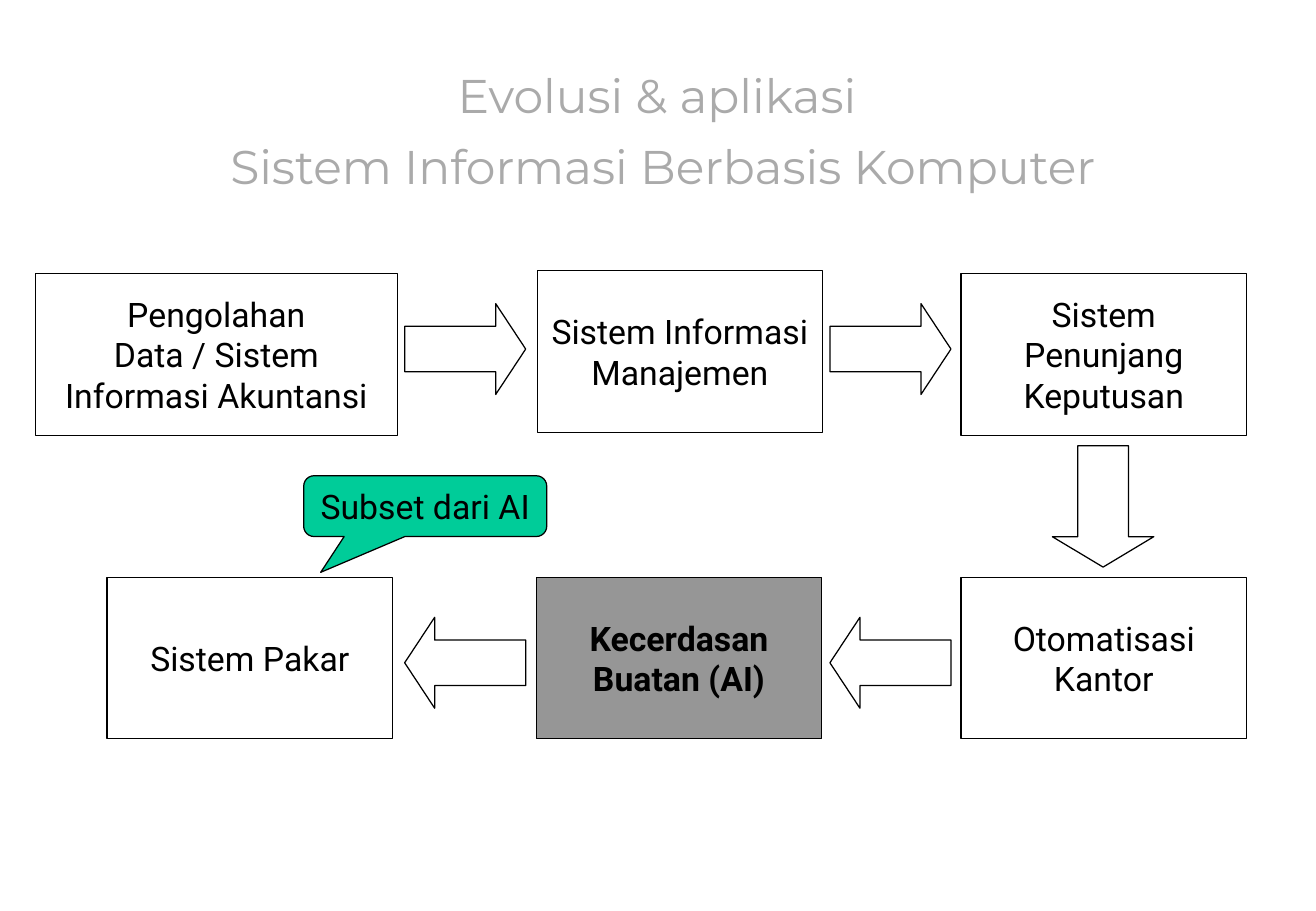
from pptx import Presentation
from pptx.dml.color import RGBColor
from pptx.enum.shapes import MSO_SHAPE
from pptx.enum.text import MSO_ANCHOR, PP_ALIGN
from pptx.util import Cm, Pt

COLORS = {
    "title": "AAAAAA",
    "ink": "000000",
    "highlight": "969696",
    "callout": "00CC99",
}

BOX_WIDTH, BOX_HEIGHT = 5.97, 3.38
LEFT_COLUMN, MIDDLE_COLUMN, RIGHT_COLUMN = 2.24, 11.21, 20.09
TOP_ROW, BOTTOM_ROW = 5.72, 12.07
ARROW_LENGTH, ARROW_WIDTH = 2.53, 1.9
ARROW_COLUMNS = (8.46, 17.35)


def color(name):
    return RGBColor.from_string(COLORS[name])


def write_text(shape, text, font_name, size, color_name, bold=False):
    text_frame = shape.text_frame
    text_frame.text = text
    for paragraph in text_frame.paragraphs:
        paragraph.alignment = PP_ALIGN.CENTER
        for run in paragraph.runs:
            run.font.name = font_name
            run.font.size = Pt(size)
            run.font.bold = bold
            run.font.color.rgb = color(color_name)


def add_title_line(slide, text, left, top, width):
    box = slide.shapes.add_textbox(Cm(left), Cm(top), Cm(width), Cm(1.37))
    box.text_frame.word_wrap = True
    write_text(box, text, "Montserrat", 28, "title")


def add_outlined(slide, kind, left, top, width, height, fill=None):
    shape = slide.shapes.add_shape(kind, Cm(left), Cm(top), Cm(width), Cm(height))
    shape.shadow.inherit = False
    if fill:
        shape.fill.solid()
        shape.fill.fore_color.rgb = color(fill)
    else:
        shape.fill.background()
    shape.line.color.rgb = color("ink")
    shape.line.width = Pt(0.75)
    return shape


def add_process(slide, text, left, top, width=BOX_WIDTH, fill=None, bold=False):
    shape = add_outlined(slide, MSO_SHAPE.FLOWCHART_PROCESS,
                         left, top, width, BOX_HEIGHT, fill)
    text_frame = shape.text_frame
    text_frame.margin_left = text_frame.margin_right = Cm(0.25)
    text_frame.margin_top = text_frame.margin_bottom = Cm(0.13)
    text_frame.vertical_anchor = MSO_ANCHOR.MIDDLE
    write_text(shape, text, "Roboto", 20, "ink", bold)


def add_arrow(slide, kind, left, top, width, height, head):
    arrow = add_outlined(slide, kind, left, top, width, height)
    arrow.adjustments[0] = 0.5
    arrow.adjustments[1] = head


def add_callout(slide, text):
    callout = add_outlined(slide, MSO_SHAPE.ROUNDED_RECTANGULAR_CALLOUT,
                           6.35, 9.95, 5.08, 1.27, "callout")
    for index, value in enumerate((-0.43, 1.09, 0.17)):
        callout.adjustments[index] = value
    callout.text_frame.word_wrap = False
    callout.text_frame.vertical_anchor = MSO_ANCHOR.MIDDLE
    write_text(callout, text, "Roboto", 20, "ink")


def main():
    presentation = Presentation()
    presentation.slide_width = Cm(27.51)
    presentation.slide_height = Cm(19.05)
    slide = presentation.slides.add_slide(presentation.slide_layouts[6])

    # Title
    add_title_line(slide, "Evolusi & aplikasi", 6.75, 1.27, 13.97)
    add_title_line(slide, "Sistem Informasi Berbasis Komputer", 2.74, 2.74, 22.23)

    # Top row, read from left to right
    add_process(slide, "Pengolahan\nData / Sistem Informasi Akuntansi",
                0.74, TOP_ROW, width=7.57)
    add_process(slide, "Sistem Informasi Manajemen", MIDDLE_COLUMN + 0.02, TOP_ROW - 0.06)
    add_process(slide, "Sistem Penunjang Keputusan", RIGHT_COLUMN, TOP_ROW)

    # Bottom row, read from right to left
    add_process(slide, "Otomatisasi Kantor", RIGHT_COLUMN, BOTTOM_ROW)
    add_process(slide, "Kecerdasan Buatan (AI)", MIDDLE_COLUMN, BOTTOM_ROW,
                fill="highlight", bold=True)
    add_process(slide, "Sistem Pakar", LEFT_COLUMN, BOTTOM_ROW)

    # Arrows between the steps
    for left in ARROW_COLUMNS:
        add_arrow(slide, MSO_SHAPE.RIGHT_ARROW, left, 6.35,
                  ARROW_LENGTH, ARROW_WIDTH, 0.33)
        add_arrow(slide, MSO_SHAPE.LEFT_ARROW, left, 12.91,
                  ARROW_LENGTH, ARROW_WIDTH, 0.33)
    add_arrow(slide, MSO_SHAPE.DOWN_ARROW, 22, 9.32, 2.12, 2.54, 0.3)

    # Remark on the expert system
    add_callout(slide, "Subset dari AI")

    presentation.save("out.pptx")


if __name__ == "__main__":
    main()
